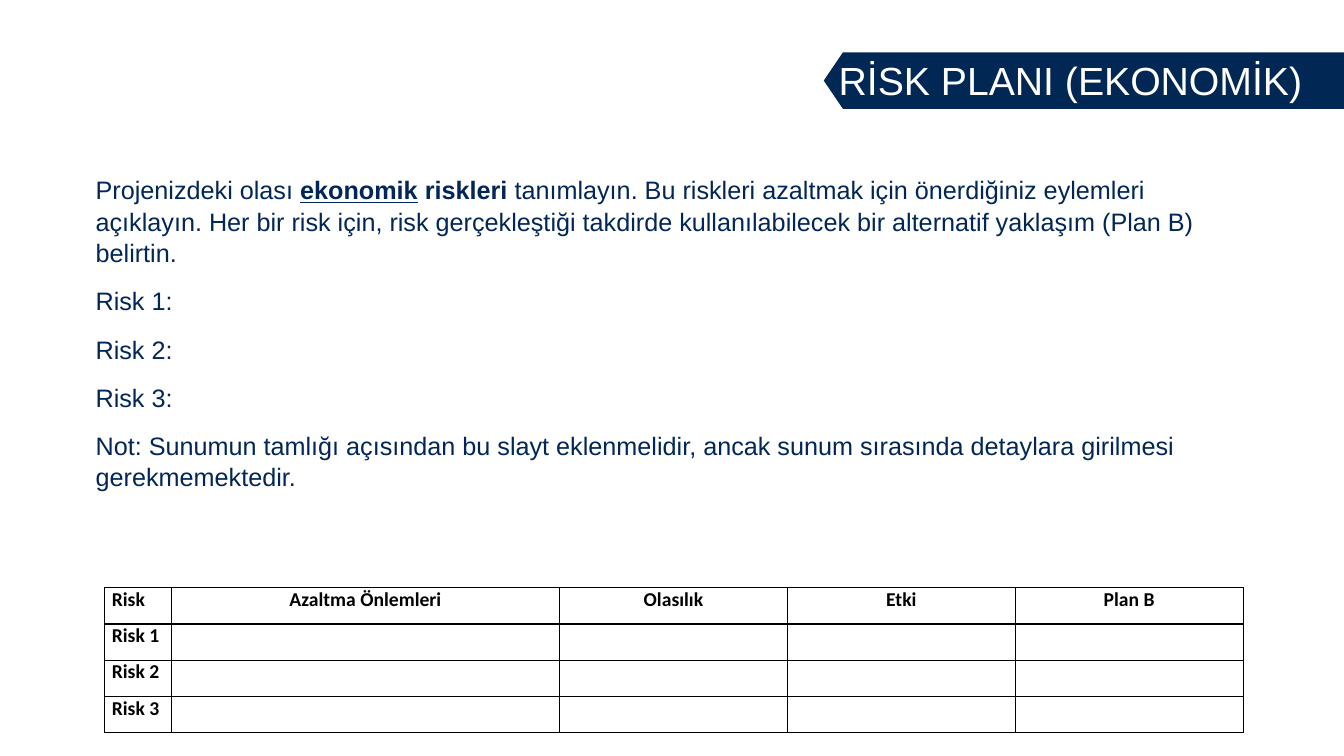
from lxml.etree import SubElement
from pptx import Presentation
from pptx.dml.color import RGBColor
from pptx.enum.text import MSO_AUTO_SIZE, PP_ALIGN
from pptx.oxml.ns import qn
from pptx.util import Inches, Pt

COLORS = {
    "banner": "012855",
    "body": "022756",
    "white": "FFFFFF",
    "black": "000000",
}
WIDTHS = [0.66, 3.85, 2.26, 2.26, 2.26]
HEADS = ["Risk", "Azaltma Önlemleri", "Olasılık", "Etki", "Plan B"]
RISKS = ["Risk 1", "Risk 2", "Risk 3"]
BODY = [
    [
        ("Projenizdeki olası ", False, False),
        ("ekonomik", True, True),
        (" riskleri ", True, False),
        ("tanımlayın. Bu riskleri azaltmak için önerdiğiniz eylemleri "
         "açıklayın. Her bir risk için, risk gerçekleştiği takdirde "
         "kullanılabilecek bir alternatif yaklaşım (Plan B) belirtin.",
         False, False),
    ],
    *[[(f"{risk}:", False, False)] for risk in RISKS],
    [("Not: Sunumun tamlığı açısından bu slayt eklenmelidir, ancak sunum "
      "sırasında detaylara girilmesi gerekmemektedir.", False, False)],
]


def color(name):
    return RGBColor.from_string(COLORS[name])


def add_run(para, text, size, face, tone, bold=False, under=False):
    run = para.add_run()
    run.text = text
    font = run.font
    font.size, font.name = Pt(size), face
    font.bold, font.underline = bold, under
    font.color.rgb = color(tone)


def add_box(slide, left, top, width, height, wrap):
    box = slide.shapes.add_textbox(
        Inches(left), Inches(top), Inches(width), Inches(height))
    frame = box.text_frame
    frame.word_wrap = wrap
    frame.auto_size = MSO_AUTO_SIZE.SHAPE_TO_FIT_TEXT
    return frame


def add_banner(slide):
    points = [(13.56, 0.52), (13.56, 1.08), (8.36, 1.08), (8.17, 0.8)]
    form = slide.shapes.build_freeform(Inches(8.36), Inches(0.52))
    form.add_line_segments([(Inches(x), Inches(y)) for x, y in points])
    shape = form.convert_to_shape()
    shape.shadow.inherit = False
    shape.fill.solid()
    shape.fill.fore_color.rgb = color("banner")
    shape.line.fill.background()


def add_title(slide):
    frame = add_box(slide, 8.22, 0.51, 4.85, 0.57, False)
    add_run(frame.paragraphs[0], "RİSK PLANI (EKONOMİK)", 28, "Arial", "white")


def add_body(slide):
    frame = add_box(slide, 0.85, 1.67, 11.62, 3.2, True)
    for index, runs in enumerate(BODY):
        para = frame.add_paragraph() if index else frame.paragraphs[0]
        para.space_before = Pt(6 if index else 0)
        para.space_after = Pt(6)
        para.line_spacing = 1.04
        for text, bold, under in runs:
            add_run(para, text, 18, "Arial", "body", bold, under)


def set_border(cell):
    props = cell._tc.get_or_add_tcPr()
    for side in ("lnL", "lnR", "lnT", "lnB"):
        line = SubElement(props, qn(f"a:{side}"), w=str(Pt(1)))
        fill = SubElement(line, qn("a:solidFill"))
        SubElement(fill, qn("a:srgbClr"), val=COLORS["black"])


def fill_cell(cell, text, align):
    set_border(cell)
    cell.fill.solid()
    cell.fill.fore_color.rgb = color("white")
    cell.margin_left = cell.margin_right = Inches(0.07)
    cell.margin_top = cell.margin_bottom = 0
    para = cell.text_frame.paragraphs[0]
    para.alignment = align
    if text:
        add_run(para, text, 14, "Calibri", "black", True)
    else:
        para.font.size = Pt(14)


def add_grid(slide):
    rows = [HEADS] + [[risk] + [""] * (len(HEADS) - 1) for risk in RISKS]
    table = slide.shapes.add_table(
        len(rows), len(HEADS), Inches(1.04), Inches(5.83),
        Inches(sum(WIDTHS)), Inches(0.36 * len(rows))).table
    table.first_row = table.horz_banding = False
    for column, width in zip(table.columns, WIDTHS):
        column.width = Inches(width)
    for r, row in enumerate(rows):
        table.rows[r].height = Inches(0.36)
        for c, text in enumerate(row):
            align = PP_ALIGN.CENTER if c else PP_ALIGN.LEFT
            fill_cell(table.cell(r, c), text, align)


def main():
    deck = Presentation()
    deck.slide_width, deck.slide_height = Inches(13.33), Inches(7.5)
    slide = deck.slides.add_slide(deck.slide_layouts[6])
    add_banner(slide)
    add_title(slide)
    add_grid(slide)
    add_body(slide)
    deck.save("out.pptx")


if __name__ == "__main__":
    main()
